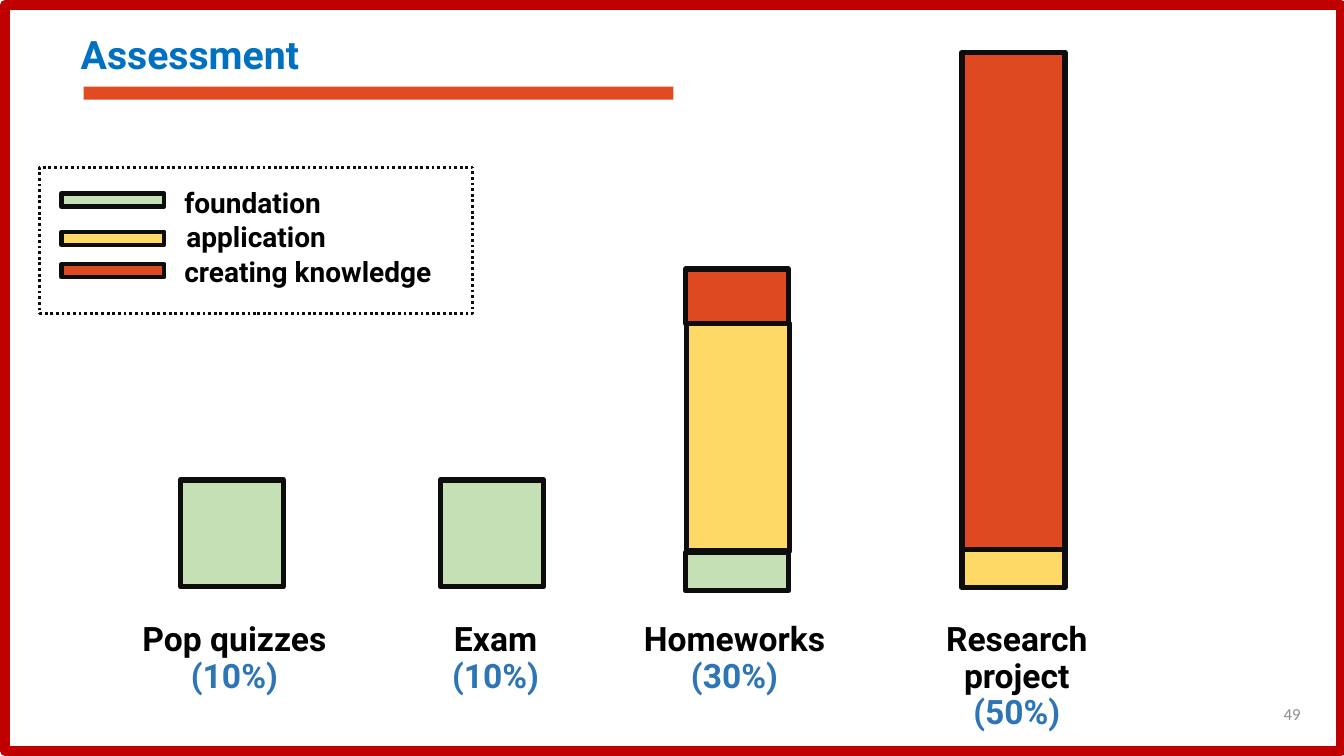
"""Build the course assessment slide with stacked weight bars and a legend."""
from pptx import Presentation
from pptx import util as u
from pptx.dml.color import RGBColor
from pptx.enum import dml, shapes, text

GREEN, YELLOW, RED, INK = "C5E0B4", "FFD966", "DE4921", "0D0D0D"

prs = Presentation()
prs.slide_width, prs.slide_height = u.Inches(13.33), u.Inches(7.5)
s = prs.slides.add_slide(prs.slide_layouts[5])


def add_rect(box, fill=None, line=None, width=4):
    sp = s.shapes.add_shape(shapes.MSO_SHAPE.RECTANGLE, *map(u.Inches, box))
    sp.shadow.inherit = False
    if fill:
        sp.fill.solid()
        sp.fill.fore_color.rgb = RGBColor.from_string(fill)
    else:
        sp.fill.background()
    if line:
        sp.line.color.rgb = RGBColor.from_string(line)
        sp.line.width = u.Pt(width)
    else:
        sp.line.fill.background()
    return sp


def write(sp, lines, size, align=text.PP_ALIGN.LEFT, font="Roboto", bold=True, spacing=0.9):
    tf = sp.text_frame
    tf.word_wrap = True
    tf.auto_size = text.MSO_AUTO_SIZE.NONE
    tf.vertical_anchor = text.MSO_ANCHOR.TOP
    tf.text = "\n".join(line for line, _ in lines)
    for p, (_, color) in zip(tf.paragraphs, lines):
        p.alignment, p.line_spacing, p.space_before = align, spacing, u.Pt(0)
        p.font.name, p.font.size, p.font.bold = font, u.Pt(size), bold
        p.font.color.rgb = RGBColor.from_string(color)


title = s.shapes.title
title.left, title.top = u.Inches(0.7), u.Inches(0.3)
title.width, title.height = u.Inches(3.87), u.Inches(0.56)
write(title, [("Assessment", "0070C0")], 28)

frame = add_rect((0.05, 0.05, 13.25, 7.4), "FFFFFF", "C00000", 7)
title._element.addprevious(frame._element)
add_rect((0.83, 0.86, 5.85, 0.13), "E14B21")

assessments = [
    ("Pop quizzes", "(10%)", 1.12, 2.41, 0.68, [(1.79, 4.76, 1.06, GREEN)]),
    ("Exam", "(10%)", 4.26, 1.31, 0.68, [(4.37, 4.76, 1.06, GREEN)]),
    ("Homeworks", "(30%)", 6.12, 2.33, 0.68,
     [(6.8, 5.48, 0.38, GREEN), (6.81, 3.21, 2.26, YELLOW), (6.8, 2.67, 0.54, RED)]),
    ("Research project", "(50%)", 8.92, 2.33, 1.11,
     [(9.54, 0.52, 4.95, RED), (9.54, 5.45, 0.38, YELLOW)]),
]
for name, weight, left, width, height, segments in assessments:
    label = s.shapes.add_textbox(*map(u.Inches, (left, 6.13, width, height)))
    write(label, [(name, "000000"), (weight, "2E75B6")], 24, text.PP_ALIGN.CENTER)
    for x, y, h, color in segments:
        add_rect((x, y, 1.02, h), color, INK)

legend = [
    ("foundation", GREEN, 1.92, 1.73, 2),
    ("application", YELLOW, 2.3, 1.75, 2),
    ("creating knowledge", RED, 2.62, 1.73, 2.96),
]
for i, (name, color, key_top, left, width) in enumerate(legend):
    add_rect((0.61, key_top, 1.02, 0.13), color, INK, 3)
    label = s.shapes.add_textbox(*map(u.Inches, (left, 1.83 + 0.34 * i, width, 0.46)))
    write(label, [(name, "000000")], 20)
legend_box = add_rect((0.39, 1.66, 4.3, 1.45), line=INK, width=2)
legend_box.line.dash_style = dml.MSO_LINE.ROUND_DOT

number = s.shapes.add_textbox(*map(u.Inches, (10, 6.88, 3, 0.4)))
write(number, [("49", "8C8C8C")], 12, text.PP_ALIGN.RIGHT, "Calibri", False, 1.0)
number.text_frame.vertical_anchor = text.MSO_ANCHOR.MIDDLE

prs.save("out.pptx")
